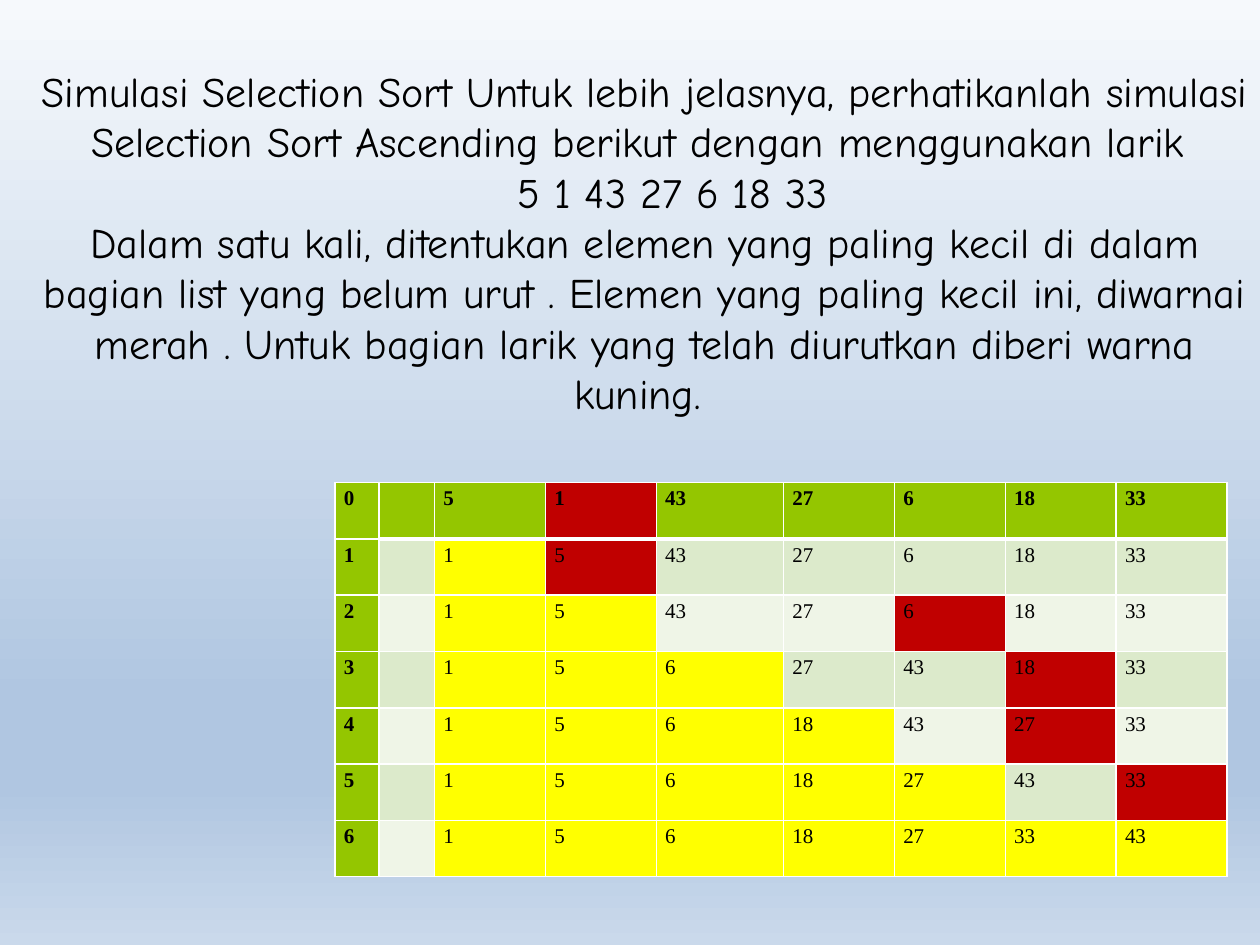
from dataclasses import dataclass

from lxml import etree
from pptx import Presentation
from pptx import util as u
from pptx.dml.color import RGBColor
from pptx.enum import text
from pptx.oxml import ns


@dataclass(frozen=True)
class Theme:
    ink: str = "000000"
    grid: str = "FFFFFF"
    heading: str = "94C600"
    bands: tuple = ("EFF5E7", "DCEACB")
    smallest: str = "C00000"
    ordered: str = "FFFF00"
    backdrop: tuple = ((0, "F6F9FC"), (74, "B0C6E1"), (83, "B0C6E1"), (100, "CAD9EB"))
    body_font: str = "Comic Neue"
    body_size: int = 24
    table_font: str = "Times New Roman"
    table_size: int = 12
    line: int = 1
    heavy_line: int = 3


THEME = Theme()
ARRAY = [5, 1, 43, 27, 6, 18, 33]
EXPLANATION = (
    "Simulasi Selection Sort Untuk lebih jelasnya, perhatikanlah simulasi "
    "Selection Sort Ascending berikut dengan menggunakan larik \v"
    "\u00a0\u00a0\u00a0 5 1 43 27 6 18 33\v"
    "Dalam satu kali, ditentukan elemen yang paling kecil di dalam bagian list "
    "yang belum urut . Elemen yang paling kecil ini, diwarnai merah . Untuk bagian "
    "larik yang telah diurutkan diberi warna kuning. "
)
COLUMN_WIDTHS = [0.35, 0.44, 0.88, 0.88, 1.01, 0.88, 0.88, 0.88, 0.88]
TABLE_HEIGHT = 3.13


def apply_format(target, values):
    for name, value in values.items():
        setattr(target, name, value)


def format_runs(paragraph, font, size, bold=False):
    for run in paragraph.runs:
        apply_format(run.font, {"name": font, "size": u.Pt(size), "bold": bold})
        run.font.color.rgb = RGBColor.from_string(THEME.ink)


def add_color(parent, color):
    etree.SubElement(parent, ns.qn("a:srgbClr"), val=color)


def set_backdrop(slide):
    fill = slide.background.fill
    fill.gradient()
    fill.gradient_angle = 270
    stops = slide.element.xpath(".//a:gsLst")[0]
    for stop in list(stops):
        stops.remove(stop)
    for position, color in THEME.backdrop:
        add_color(etree.SubElement(stops, ns.qn("a:gs"), pos=str(position * 1000)), color)


def add_explanation(slide):
    box = slide.shapes.add_textbox(*map(u.Inches, (0.23, 0.47, 9.77, 3.74)))
    box.text_frame.word_wrap = True
    paragraph = box.text_frame.paragraphs[0]
    paragraph.text = EXPLANATION
    paragraph.alignment = text.PP_ALIGN.CENTER
    format_runs(paragraph, THEME.body_font, THEME.body_size)


def set_borders(cell, widths):
    properties = cell._tc.get_or_add_tcPr()
    for side, width in widths.items():
        line = etree.SubElement(properties, ns.qn(f"a:ln{side}"), w=str(u.Pt(width)))
        add_color(etree.SubElement(line, ns.qn("a:solidFill")), THEME.grid)


def fill_cell(cell, value, color, bold, borders):
    apply_format(cell, {
        "margin_left": u.Inches(0.07), "margin_right": u.Inches(0.07),
        "margin_top": u.Inches(0.01), "margin_bottom": 0,
    })
    set_borders(cell, borders)
    cell.fill.solid()
    cell.fill.fore_color.rgb = RGBColor.from_string(color)
    paragraph = cell.text_frame.paragraphs[0]
    paragraph.text = str(value)
    paragraph.line_spacing = 1.15
    format_runs(paragraph, THEME.table_font, THEME.table_size, bold)


def selection_sort_steps(values):
    values = list(values)
    last = len(values) - 1
    for step in range(last):
        smallest = values.index(min(values[step:]), step)
        yield list(values), step, smallest
        values[step], values[smallest] = values[smallest], values[step]
    yield values, len(values), None


def cell_color(row, column, ordered, smallest):
    position = column - 2
    if column == 0:
        return THEME.heading
    if position == smallest:
        return THEME.smallest
    if 0 <= position < ordered:
        return THEME.ordered
    return THEME.bands[row % 2] if row else THEME.heading


def cell_borders(row, column):
    borders = dict.fromkeys("LRTB", THEME.line)
    if column and row < 2:
        borders["T" if row else "B"] = THEME.heavy_line
    return borders


def add_sort_table(slide):
    steps = list(selection_sort_steps(ARRAY))
    frame = slide.shapes.add_table(
        len(steps), len(COLUMN_WIDTHS), u.Inches(2.66), u.Inches(3.83),
        u.Inches(sum(COLUMN_WIDTHS)), u.Inches(TABLE_HEIGHT))
    table = frame.table
    for column, width in zip(table.columns, COLUMN_WIDTHS):
        column.width = u.Inches(width)
    for row, (values, ordered, smallest) in enumerate(steps):
        for column, value in enumerate([row, "", *values]):
            fill_cell(table.cell(row, column), value,
                      cell_color(row, column, ordered, smallest),
                      row == 0 or column == 0, cell_borders(row, column))


def main():
    presentation = Presentation()
    apply_format(presentation, {"slide_width": u.Inches(10), "slide_height": u.Inches(7.5)})
    slide = presentation.slides.add_slide(presentation.slide_layouts[6])
    set_backdrop(slide)
    add_explanation(slide)
    add_sort_table(slide)
    presentation.save("out.pptx")


main()
